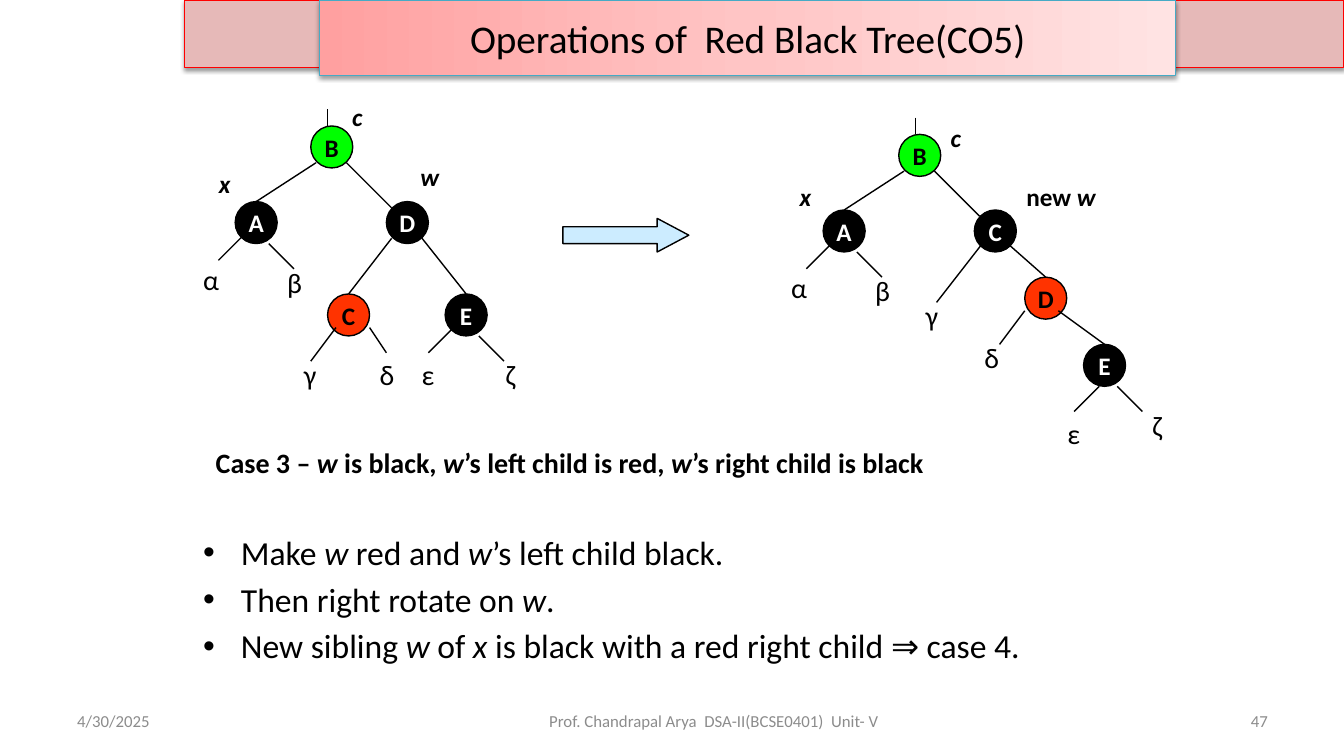
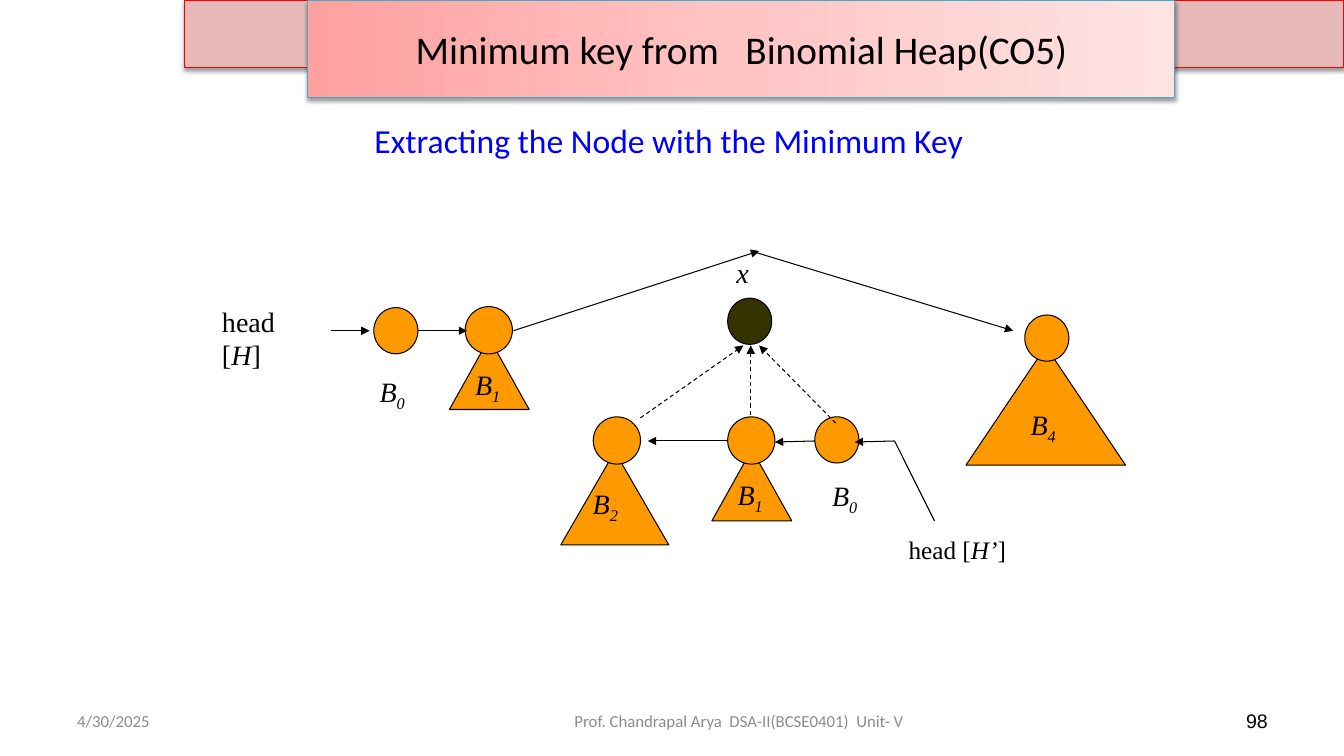
from copy import deepcopy

from lxml.etree import SubElement
from pptx import Presentation
from pptx.dml.color import RGBColor
from pptx.enum.dml import MSO_LINE
from pptx.enum.shapes import MSO_CONNECTOR, MSO_SHAPE
from pptx.enum.text import MSO_ANCHOR, PP_ALIGN
from pptx.oxml.ns import qn
from pptx.util import Emu, Pt

EMU_PER_PX = 9525
SANS, SERIF = "Calibri", "Times New Roman"

BLACK = RGBColor(0, 0, 0)
WHITE = RGBColor(0xFF, 0xFF, 0xFF)
GREY = RGBColor(0x8C, 0x8C, 0x8C)
BLUE = RGBColor(0, 0, 0xFF)
GREEN = RGBColor(0, 0xFF, 0)
RED = RGBColor(0xFF, 0x33, 0)
ORANGE = RGBColor(0xFF, 0x99, 0)
OLIVE = RGBColor(0x33, 0x33, 0)
SKY = RGBColor(0xCC, 0xEC, 0xFF)
BAND = RGBColor(0xE6, 0xB9, 0xB8)
BAND_EDGE = RGBColor(0xFF, 0, 0)
BANNER_EDGE = RGBColor(0x46, 0xAA, 0xC5)
BANNER_STOPS = (
    (0, RGBColor(0xFF, 0xA0, 0xA0)),
    (0.5, RGBColor(0xFF, 0xC5, 0xC5)),
    (1, RGBColor(0xFF, 0xE3, 0xE3)),
)


def px(*lengths):
    return [Emu(n * EMU_PER_PX) for n in lengths]


def write(p, text, size, color=BLACK, font=SANS, bold=False):
    """Text between asterisks is italic."""
    for i, part in enumerate(text.split("*")):
        if part:
            r = p.add_run()
            r.text = part
            r.font.size, r.font.name = Pt(size), font
            r.font.color.rgb = color
            r.font.bold, r.font.italic = bold, i % 2 == 1


def add_text(s, box, text, size, align=PP_ALIGN.LEFT, anchor=MSO_ANCHOR.TOP,
             wrap=True, **style):
    tf = s.shapes.add_textbox(*px(*box)).text_frame
    tf.word_wrap, tf.vertical_anchor = wrap, anchor
    p = tf.paragraphs[0]
    p.alignment = align
    write(p, text, size, **style)
    return p


def add_label(s, x, y, text, width=33, height=41, size=20, **style):
    return add_text(s, (x, y, width, height), text, size, wrap=False, **style)


def add_mark(s, x, y, text, width=33):
    add_label(s, x, y, text, width, 38, 18, bold=True)


def add_figure(s, kind, box, fill=None, edge=BLACK, weight=0.75):
    sp = s.shapes.add_shape(kind, *px(*box))
    sp.shadow.inherit = False
    if fill is not None:
        sp.fill.solid()
        sp.fill.fore_color.rgb = fill
    sp.line.color.rgb, sp.line.width = edge, Pt(weight)
    return sp


def add_shadow(sp):
    effects = sp._element.spPr.find(qn("a:effectLst"))
    shadow = SubElement(effects, qn("a:outerShdw"), blurRad="40000",
                        dist="20000", dir="5400000", rotWithShape="0")
    color = SubElement(shadow, qn("a:srgbClr"), val="000000")
    SubElement(color, qn("a:alpha"), val="38000")


def add_line(s, x1, y1, x2, y2, weight=0.75, arrow=False, dashed=False):
    c = s.shapes.add_connector(MSO_CONNECTOR.STRAIGHT, *px(x1, y1, x2, y2))
    c.line.color.rgb, c.line.width = BLACK, Pt(weight)
    if dashed:
        c.line.dash_style = MSO_LINE.DASH
    if arrow:
        SubElement(c.line._get_or_add_ln(), qn("a:tailEnd"), type="triangle")
    SubElement(c._element.spPr, qn("a:effectLst"))
    return c


def add_edges(s, edges):
    for edge in edges:
        add_line(s, *edge, weight=1)


def add_edge_to(s, x, y, child):
    add_line(s, x, y, x, y, weight=1).end_connect(child, 0)


def add_node(s, x, y, name, fill=BLACK):
    sp = add_figure(s, MSO_SHAPE.OVAL, (x, y, 40, 40), fill, weight=1)
    tf = sp.text_frame
    tf.word_wrap, tf.vertical_anchor = False, MSO_ANCHOR.MIDDLE
    tf.paragraphs[0].alignment = PP_ALIGN.CENTER
    write(tf.paragraphs[0], name, 18, WHITE if fill == BLACK else BLACK,
          bold=True)
    return sp


def add_banner(s, box, title):
    sp = add_figure(s, MSO_SHAPE.RECTANGLE, box, edge=BANNER_EDGE)
    sp.fill.gradient()
    sp.fill.gradient_angle = 0
    stops = next(sp._element.spPr.iter(qn("a:gsLst")))
    stops.insert(1, deepcopy(stops[0]))
    for stop, (position, color) in zip(sp.fill.gradient_stops, BANNER_STOPS):
        stop.position, stop.color.rgb = position, color
    add_shadow(sp)
    tf = sp.text_frame
    tf.vertical_anchor = MSO_ANCHOR.MIDDLE
    tf.paragraphs[0].alignment = PP_ALIGN.CENTER
    write(tf.paragraphs[0], title, 28)


def add_footer(s, x, width, text, align, size=12, color=GREY, font=SANS):
    add_text(s, (x, 667, width, 38), text, size, align, MSO_ANCHOR.MIDDLE,
             color=color, font=font)


def start_slide(prs, banner_box, title, credit_width, number, **number_style):
    s = prs.slides.add_slide(prs.slide_layouts[6])
    add_shadow(add_figure(s, MSO_SHAPE.RECTANGLE, (176, 0, 1104, 64), BAND,
                          BAND_EDGE))
    add_banner(s, banner_box, title)
    add_footer(s, 64, 299, "4/30/2025", PP_ALIGN.LEFT)
    add_footer(s, 488, credit_width,
               "Prof. Chandrapal Arya  DSA-II(BCSE0401)  Unit- V",
               PP_ALIGN.CENTER)
    add_footer(s, 918, 299, number, PP_ALIGN.RIGHT, **number_style)
    return s


def add_tree_top(s, dx, dy, right_child):
    add_node(s, 296 + dx, 120 + dy, "B", GREEN)
    a = add_node(s, 224 + dx, 192 + dy, "A")
    add_node(s, 368 + dx, 192 + dy, right_child)
    add_edge_to(s, 301 + dx, 155 + dy, a)
    add_edges(s, [(x1 + dx, y1 + dy, x2 + dx, y2 + dy) for x1, y1, x2, y2 in (
        (312, 104, 312, 120), (330, 155, 373, 198),
        (232, 224, 208, 248), (256, 232, 280, 256))])
    add_label(s, 184 + dx, 245 + dy, "α")
    add_label(s, 264 + dx, 248 + dy, "β")


def add_tree_before(s):
    add_tree_top(s, 0, 0, "D")
    c = add_node(s, 312, 280, "C", RED)
    e = add_node(s, 424, 280, "E")
    add_edge_to(s, 373, 227, c)
    add_edge_to(s, 402, 227, e)
    add_edges(s, [(320, 312, 296, 344), (352, 312, 368, 336),
                  (432, 312, 408, 336), (456, 320, 480, 344)])
    for x, letter in ((280, "γ"), (352, "δ"), (392, "ε"), (472, "ζ")):
        add_label(s, x, 336, letter)
    add_mark(s, 326, 92, "*c*")
    add_mark(s, 199, 156, "*x*")
    add_mark(s, 391, 149, "*w*", 37)


def add_tree_after(s):
    add_tree_top(s, 560, 8, "C")
    d = add_node(s, 976, 264, "D", RED)
    e = add_node(s, 1032, 328, "E")
    add_edge_to(s, 962, 234, d)
    add_edge_to(s, 1008, 296, e)
    add_edges(s, [(934, 234, 892, 288), (976, 296, 952, 328),
                  (1047, 368, 1023, 392), (1064, 368, 1088, 392)])
    for x, y, letter in ((872, 280, "γ"), (928, 320, "δ"),
                         (1007, 392, "ε"), (1088, 384, "ζ")):
        add_label(s, x, y, letter)
    add_mark(s, 896, 112, "*c*")
    add_mark(s, 752, 168, "*x*")
    add_mark(s, 968, 168, "new* w*", 85)


def add_bullets(s, box, items):
    tf = s.shapes.add_textbox(*px(*box)).text_frame
    tf.word_wrap = True
    for i, item in enumerate(items):
        p = tf.add_paragraph() if i else tf.paragraphs[0]
        pPr = p._p.get_or_add_pPr()
        pPr.set("marL", "342900")
        pPr.set("indent", "-342900")
        SubElement(pPr, qn("a:buFont"), typeface="Arial")
        SubElement(pPr, qn("a:buChar"), char="•")
        p.alignment = PP_ALIGN.JUSTIFY
        if i:
            p.space_before = Pt(4.5)
        write(p, item, 24)


def add_red_black_slide(prs):
    s = start_slide(prs, (304, 0, 816, 72),
                    "Operations of  Red Black Tree(CO5)", 384, "47")
    add_tree_before(s)
    arrow = add_figure(s, MSO_SHAPE.RIGHT_ARROW, (536, 208, 120, 32), SKY,
                       weight=1)
    arrow.adjustments[1] = 0.94
    add_tree_after(s)
    add_text(s, (196, 420, 924, 64),
             "Case 3 – *w* is black, *w*’s left child is red, "
             "*w*’s right child is black", 20, bold=True)
    add_bullets(s, (184, 502, 888, 162), (
        "Make *w *red and *w*’s left child black.",
        "Then right rotate on *w*.",
        "New sibling *w *of *x *is black with a red right child ⇒ case 4."))


def add_order_label(s, x, y, order, width):
    p = add_label(s, x, y, f"*B**{order}*", width, font=SERIF)
    r = p.add_run()
    r.text = order
    r.font.size, r.font.name, r.font.italic = Pt(20), SERIF, True
    r.font.color.rgb = BLACK
    r._r.get_or_add_rPr().set("baseline", "-25000")
    p._p.remove(p.runs[1]._r)


def add_heap_slide(prs):
    s = start_slide(prs, (293, 0, 826, 93),
                    "Minimum key from   Binomial Heap(CO5)", 432, "98",
                    size=14, color=BLACK, font="Arial")
    add_text(s, (185, 109, 904, 120),
             "Extracting the Node with the Minimum Key", 24,
             PP_ALIGN.CENTER, color=BLUE)
    for box in ((428, 322, 76, 68), (534, 430, 103, 89),
                (678, 428, 76, 68), (920, 330, 152, 113)):
        add_figure(s, MSO_SHAPE.ISOSCELES_TRIANGLE, box, ORANGE)
    for x, y in ((443, 292), (565, 397), (693, 397)):
        add_figure(s, MSO_SHAPE.OVAL, (x, y, 45, 45), ORANGE)
    for x, y, fill in ((356, 293, ORANGE), (776, 397, ORANGE),
                       (976, 300, ORANGE), (693, 284, OLIVE)):
        add_figure(s, MSO_SHAPE.OVAL, (x, y, 42, 44), fill)
    for ends in ((315, 315, 352, 315), (398, 315, 445, 315),
                 (489, 315, 723, 239), (715, 239, 965, 315),
                 (693, 420, 617, 420), (776, 420, 738, 421),
                 (852, 420, 814, 421)):
        add_line(s, *ends, arrow=True)
    for ends in ((610, 398, 708, 329), (715, 395, 715, 329),
                 (796, 403, 723, 329)):
        add_line(s, *ends, arrow=True, dashed=True)
    add_line(s, 852, 420, 890, 496)
    for x, y, order, width in ((352, 352, "0", 45), (443, 345, "1", 45),
                               (555, 459, "2", 45), (693, 450, "1", 45),
                               (783, 451, "0", 45), (972, 383, "4", 45)):
        add_order_label(s, x, y, order, width)
    add_label(s, 692, 239, "*x*", 31, font=SERIF)
    add_label(s, 202, 285, "head [*H*]", 113, font=SERIF)
    add_label(s, 856, 504, "head [*H’*]", 113, 38, 18, font=SERIF)


def main():
    prs = Presentation()
    prs.slide_width, prs.slide_height = px(1280, 720)
    add_red_black_slide(prs)
    add_heap_slide(prs)
    prs.save("out.pptx")


if __name__ == "__main__":
    main()
